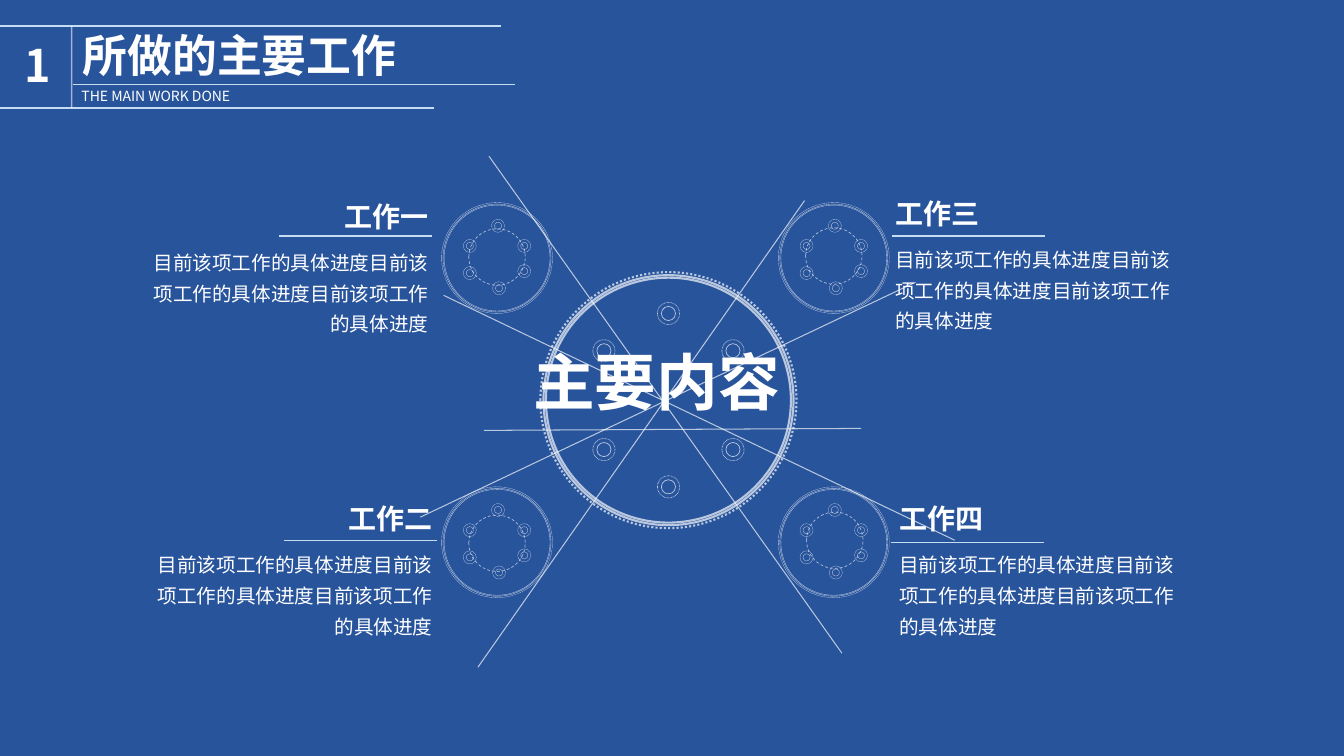
from dataclasses import dataclass
from itertools import product

from pptx import Presentation
from pptx.dml.color import RGBColor
from pptx.enum.dml import MSO_LINE as Dash
from pptx.enum.shapes import MSO_CONNECTOR as Connector, MSO_SHAPE as Shape
from pptx.enum.text import MSO_ANCHOR as Anchor, MSO_AUTO_SIZE as AutoSize, PP_ALIGN as Align
from pptx.oxml.ns import qn
from pptx.util import Inches, Pt
from lxml.etree import SubElement


@dataclass(frozen=True)
class Theme:
    font: str = "Noto Sans CJK SC"
    background: RGBColor = RGBColor(0x28, 0x54, 0x9C)
    white: RGBColor = RGBColor(0xFF, 0xFF, 0xFF)
    rule: RGBColor = RGBColor(0xC6, 0xDC, 0xF0)
    hub: int = 44
    title: int = 32
    heading: int = 20
    body: int = 14
    subtitle: int = 10
    opacity: int = 67
    pitch_opacity: int = 61


THEME = Theme()

PROGRESS = "目前该项工作的具体进度" * 3

# heading, alignment, heading box (left, top), body box (left, width, height), rule (left, top)
TASKS = [
    ("工作一", Align.RIGHT, (2.8, 1.93), (1.29, 3.06, 0.99), (2.77, 2.34)),
    ("工作二", Align.RIGHT, (2.84, 4.93), (1.39, 3.0, 1.02), (2.82, 5.36)),
    ("工作四", Align.LEFT, (8.82, 4.93), (8.82, 2.99, 1.02), (8.84, 5.38)),
    ("工作三", Align.LEFT, (8.78, 1.9), (8.78, 3.03, 1.02), (8.85, 2.34)),
]

HEADER_RULES = [((0, 0.26), (4.97, 0.26)), ((0, 1.07), (4.3, 1.07)), ((0.72, 0.84), (5.11, 0.84))]

SPOKES = [
    ((4.8, 4.27), (8.54, 4.25)),
    ((4.4, 2.93), (9.47, 5.36)),
    ((4.85, 1.55), (8.35, 6.48)),
    ((4.74, 6.62), (7.98, 1.99)),
    ((4.17, 5.13), (9.08, 2.8)),
]

# Bolt positions relative to the wheel centre
HUB_BOLTS = [(0, -0.86), (0, 0.86), *product((-0.64, 0.64), (-0.49, 0.49))]
SMALL_BOLTS = [(0.01, -0.32), (-0.27, -0.12), (-0.27, 0.15),
               (0.02, 0.3), (0.27, -0.12), (0.27, 0.13)]

# Centre of each small wheel and of its dashed pitch circle
SMALL_WHEELS = [
    ((4.93, 2.56), (4.93, 2.55)),
    ((8.27, 2.56), (8.27, 2.54)),
    ((8.27, 5.38), (8.28, 5.36)),
    ((4.93, 5.38), (4.93, 5.39)),
]


def write_text(shape, text, size, bold=False, align=Align.LEFT, spacing=1.0, wrap=True):
    frame = shape.text_frame
    frame.word_wrap = wrap
    frame.auto_size = AutoSize.SHAPE_TO_FIT_TEXT
    frame.vertical_anchor = Anchor.TOP
    paragraph = frame.paragraphs[0]
    paragraph.alignment = align
    paragraph.line_spacing = spacing
    run = paragraph.add_run()
    run.text = text
    font = run.font
    font.name, font.size, font.bold = THEME.font, Pt(size), bold
    font.color.rgb = THEME.white
    SubElement(font.color and run.font._element, qn("a:ea"), typeface=THEME.font)


def add_text(slide, box, text, size, **style):
    shape = slide.shapes.add_textbox(*map(Inches, box))
    write_text(shape, text, size, **style)


def style_line(shape, color, width, opacity=100, dash=Dash.SOLID):
    line = shape.line
    line.color.rgb = color
    line.width = Pt(width)
    line.dash_style = dash
    if opacity < 100:
        for node in shape.element.iter(qn("a:srgbClr")):
            SubElement(node, qn("a:alpha"), val=str(opacity * 1000))


def add_line(shapes, start, end, color, width, opacity=100):
    connector = shapes.add_connector(Connector.STRAIGHT, *map(Inches, (*start, *end)))
    style_line(connector, color, width, opacity)
    SubElement(connector.element.spPr, qn("a:effectLst"))


def add_ring(shapes, center, diameter, width, dash=Dash.SOLID, opacity=THEME.opacity):
    left, top = (value - diameter / 2 for value in center)
    ring = shapes.add_shape(Shape.OVAL, *map(Inches, (left, top, diameter, diameter)))
    ring.shadow.inherit = False
    ring.fill.background()
    style_line(ring, THEME.white, width, opacity, dash)


def add_wheel(shapes, center, rims, rim_width, bolts, bolt_sizes, bolt_width):
    """Two solid rims, a dotted outer rim, and bolts with a dotted outer ring."""
    for diameter, dash in zip(rims, (Dash.SOLID, Dash.SOLID, Dash.ROUND_DOT)):
        add_ring(shapes, center, diameter, rim_width, dash)
    for dx, dy in bolts:
        bolt = (center[0] + dx, center[1] + dy)
        for diameter, dash in zip(bolt_sizes, (Dash.ROUND_DOT, Dash.SOLID)):
            add_ring(shapes, bolt, diameter, bolt_width, dash)


def add_header(slide):
    add_text(slide, (0.14, 0.33, 0.44, 0.64), "1", THEME.title, bold=True)
    for start, end in HEADER_RULES:
        add_line(slide.shapes, start, end, THEME.rule, 1)
    title = slide.shapes.title
    title.left, title.top, title.width, title.height = map(Inches, (0.72, 0.22, 3.34, 0.64))
    write_text(title, "所做的主要工作", THEME.title, bold=True, wrap=False)
    add_text(slide, (0.71, 0.82, 1.83, 0.27), "THE MAIN WORK DONE", THEME.subtitle, wrap=False)
    add_line(slide.shapes, (0.71, 0.26), (0.71, 1.07), THEME.white, 1, opacity=56)


def add_task(slide, heading, align, heading_at, body_box, rule_at):
    left, top = heading_at
    body_left, body_width, body_height = body_box
    add_text(slide, (left, top, 1.55, 0.44), heading, THEME.heading, bold=True, align=align)
    add_text(slide, (body_left, top + 0.44, body_width, body_height), PROGRESS,
             THEME.body, align=align, spacing=1.3)
    add_line(slide.shapes, rule_at, (rule_at[0] + 1.51, rule_at[1]), THEME.rule, 1)


def add_machine(slide):
    shapes = slide.shapes.add_group_shape().shapes
    add_wheel(shapes, (6.63, 3.97), (2.43, 2.48, 2.54), 1.5, HUB_BOLTS, (0.22, 0.14), 0.5)
    for start, end in SPOKES:
        add_line(shapes, start, end, THEME.white, 0.75, THEME.opacity)
    for center, pitch_center in SMALL_WHEELS:
        add_wheel(shapes, center, (1.05, 1.07, 1.1), 0.25, SMALL_BOLTS, (0.13, 0.07), 0.25)
        add_ring(shapes, pitch_center, 0.56, 0.5, Dash.DASH, THEME.pitch_opacity)


def main():
    presentation = Presentation()
    presentation.slide_width, presentation.slide_height = Inches(13.33), Inches(7.5)
    slide = presentation.slides.add_slide(presentation.slide_layouts[5])
    fill = slide.background.fill
    fill.solid()
    fill.fore_color.rgb = THEME.background

    add_header(slide)
    for task in TASKS:
        add_task(slide, *task)
    add_text(slide, (5.19, 3.36, 2.67, 0.84), "主要内容", THEME.hub, bold=True, wrap=False)
    add_machine(slide)
    presentation.save("out.pptx")


main()
